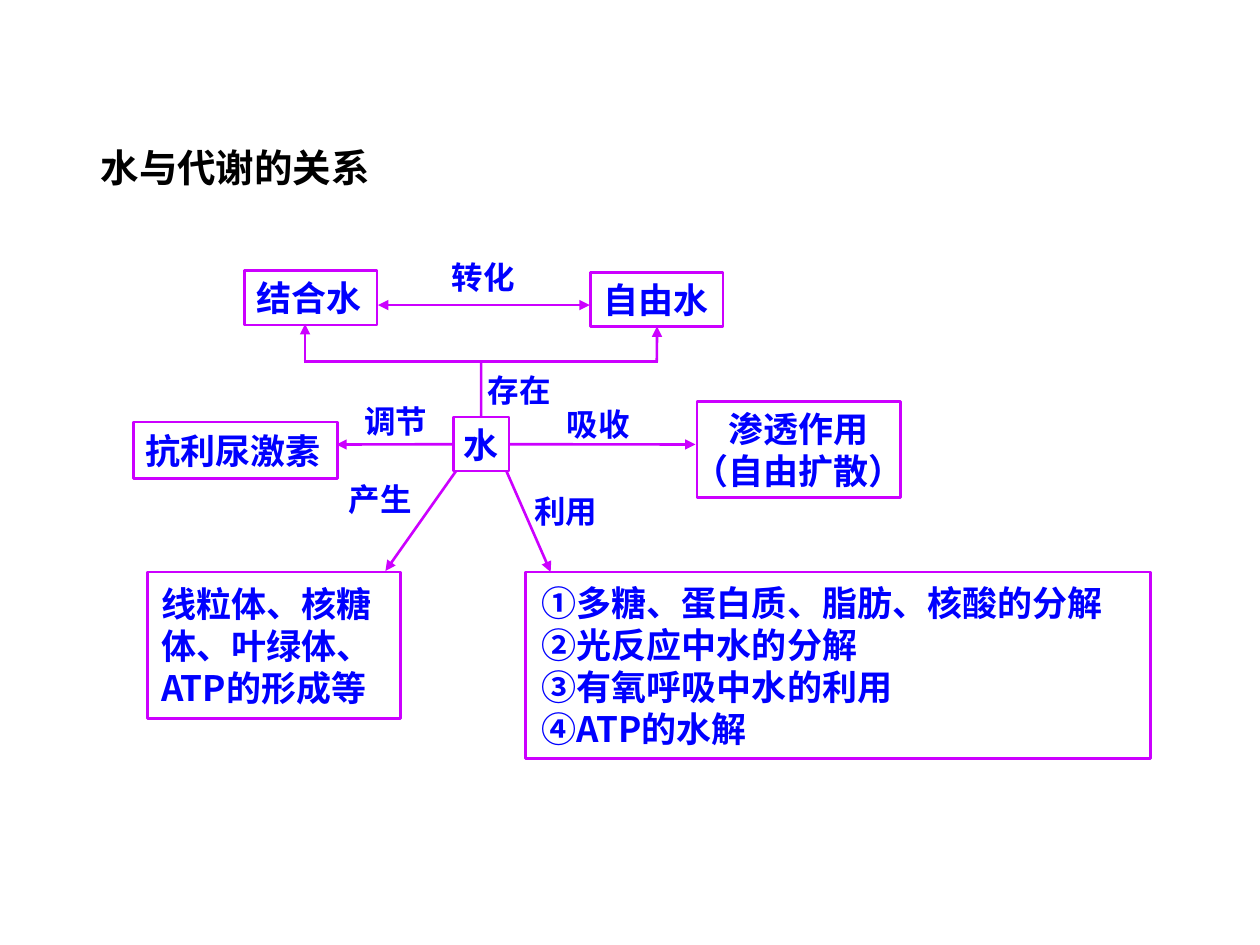
from lxml import etree
from pptx import Presentation
from pptx.dml.color import RGBColor
from pptx.enum.shapes import MSO_CONNECTOR as Connector, MSO_SHAPE as Shape
from pptx.enum.text import MSO_ANCHOR as Anchor, PP_ALIGN as Align
from pptx.oxml.ns import qn
from pptx.util import Cm, Pt

FONT = "Noto Sans CJK SC"
PURPLE = RGBColor.from_string("CC00FF")

deck = Presentation()
deck.slide_width, deck.slide_height = Cm(25.4), Cm(19.05)
page = deck.slides.add_slide(deck.slide_layouts[6])


def write(box, text, size=20, color="0000FF", align=Align.LEFT, anchor=Anchor.MIDDLE,
          inset=0.25, wrap=True, spacing=None):
    """Fill a box with one paragraph per line of text; inset is the left margin in cm."""
    frame = box.text_frame
    frame.word_wrap = wrap
    frame.vertical_anchor = anchor
    frame.margin_left, frame.margin_right = Cm(inset), Cm(0)
    frame.margin_top = frame.margin_bottom = Cm(0.13)
    for index, line in enumerate(text.split("\n")):
        para = frame.paragraphs[0] if index == 0 else frame.add_paragraph()
        para.alignment = align
        para.line_spacing = spacing
        span = para.add_run()
        span.text = line
        span.font.name = FONT
        span.font.size = Pt(size)
        span.font.bold = True
        span.font.color.rgb = RGBColor.from_string(color)
        etree.SubElement(span.font._element, qn("a:ea"), typeface=FONT)


def connect(x1, y1, x2, y2, arrows=()):
    """Draw a straight line in cm; arrows lists the ends (headEnd, tailEnd) that get a triangle."""
    link = page.shapes.add_connector(Connector.STRAIGHT, Cm(x1), Cm(y1), Cm(x2), Cm(y2))
    link.line.color.rgb = PURPLE
    link.line.width = Pt(1.5)
    for end in arrows:
        etree.SubElement(link.line._get_or_add_ln(), qn(f"a:{end}"), type="triangle")
    etree.SubElement(link._element.spPr, qn("a:effectLst"))
    return link


title = page.shapes.add_textbox(Cm(1.78), Cm(2.41), Cm(22.17), Cm(1.57))
write(title, "水与代谢的关系", size=22, color="000000", anchor=Anchor.TOP, spacing=1.4)

# Framed concepts: left, top, width, height, text, format
centred = {"align": Align.CENTER, "inset": 0, "wrap": False}
concepts = {
    "water": (9.14, 8.41, 1.12, 1.09, "水", centred),
    "bound": (4.93, 5.46, 2.67, 1.09, "结合水", {}),
    "free": (11.91, 5.49, 2.67, 1.09, "自由水", {}),
    "hormone": (2.69, 8.51, 4.11, 1.14, "抗利尿激素", {}),
    "osmosis": (14.05, 8.1, 4.11, 1.93, "渗透作用\n（自由扩散）", centred),
    "uses": (10.59, 11.53, 12.6, 3.76,
             "①多糖、蛋白质、脂肪、核酸的分解\n②光反应中水的分解\n"
             "③有氧呼吸中水的利用\n④ATP的水解", {"inset": 0.33}),
    "sources": (2.97, 11.53, 5.11, 2.95, "线粒体、核糖体、叶绿体、ATP的形成等", {"inset": 0.28}),
}
frames = {}
for name, (left, top, width, height, text, style) in concepts.items():
    box = page.shapes.add_shape(Shape.RECTANGLE, Cm(left), Cm(top), Cm(width), Cm(height))
    box.shadow.inherit = False
    box.fill.background()
    box.line.color.rgb = PURPLE
    box.line.width = Pt(1.5)
    write(box, text, **style)
    frames[name] = box

# Names of the relations
for left, top, text in [
    (8.86, 5.08, "转化"), (9.58, 7.34, "存在"), (7.09, 7.98, "调节"),
    (11.18, 8.03, "吸收"), (10.52, 9.78, "利用"), (6.78, 9.55, "产生"),
]:
    label = page.shapes.add_textbox(Cm(left), Cm(top), Cm(2.13), Cm(1.02))
    write(label, text, size=18, anchor=Anchor.TOP)

# Conversion, and the fork from water to its two forms
fork = 7.29
connect(7.62, 6.15, 11.89, 6.15, ["headEnd", "tailEnd"])
connect(6.12, fork, 13.26, fork)
connect(6.15, fork, 6.15, 6.53, ["tailEnd"])
connect(13.24, fork, 13.24, 6.58, ["tailEnd"]).end_connect(frames["free"], 2)
connect(9.7, fork, 9.7, 8.41).end_connect(frames["water"], 0)

# Regulation, absorption, production and use
connect(9.14, 8.96, 6.78, 8.96, ["tailEnd"]).begin_connect(frames["water"], 1)
connect(10.26, 8.96, 14.02, 8.96, ["tailEnd"]).begin_connect(frames["water"], 3)
connect(9.19, 9.5, 7.77, 11.51, ["tailEnd"])
connect(10.21, 9.5, 11.1, 11.53, ["tailEnd"])

deck.save("out.pptx")
